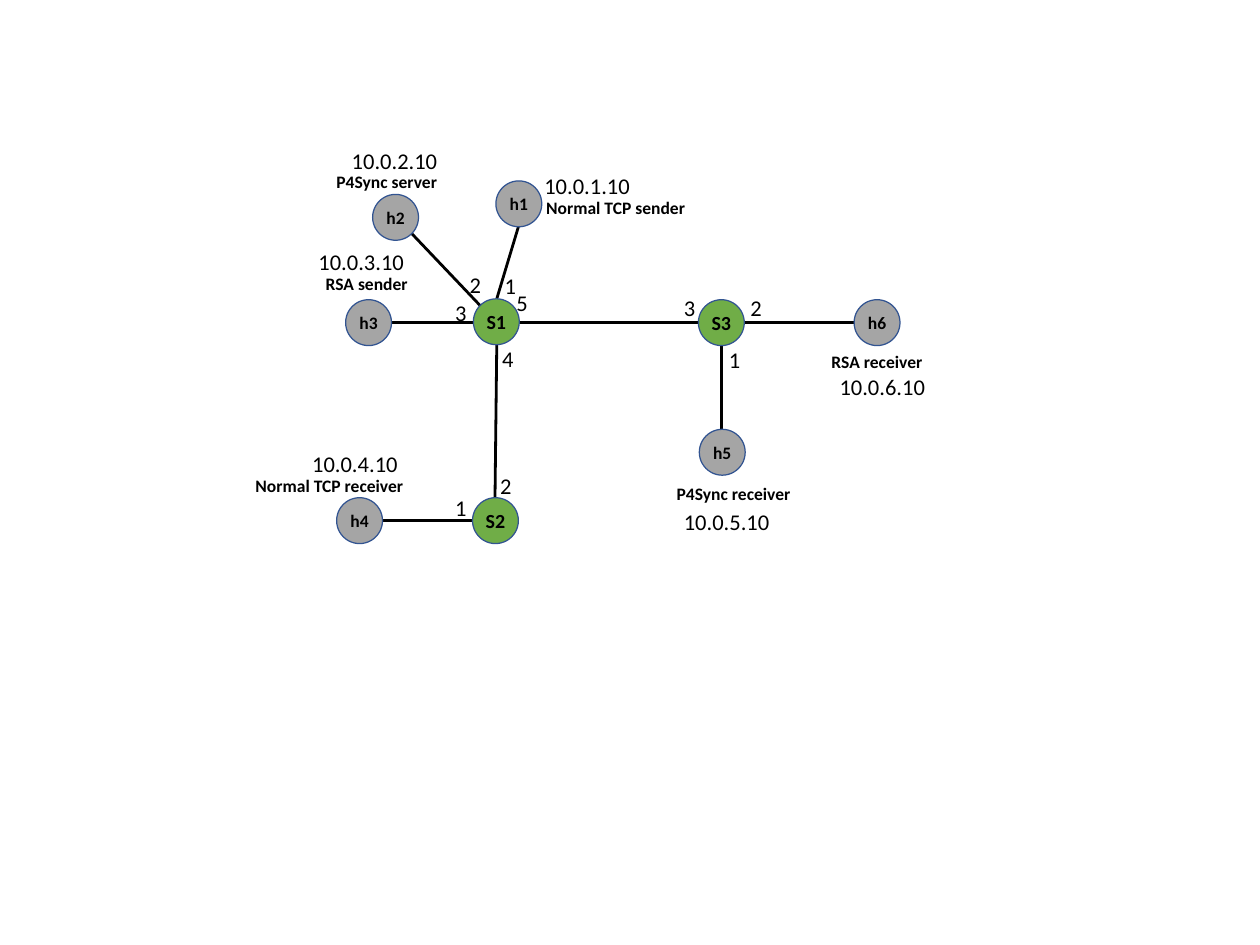
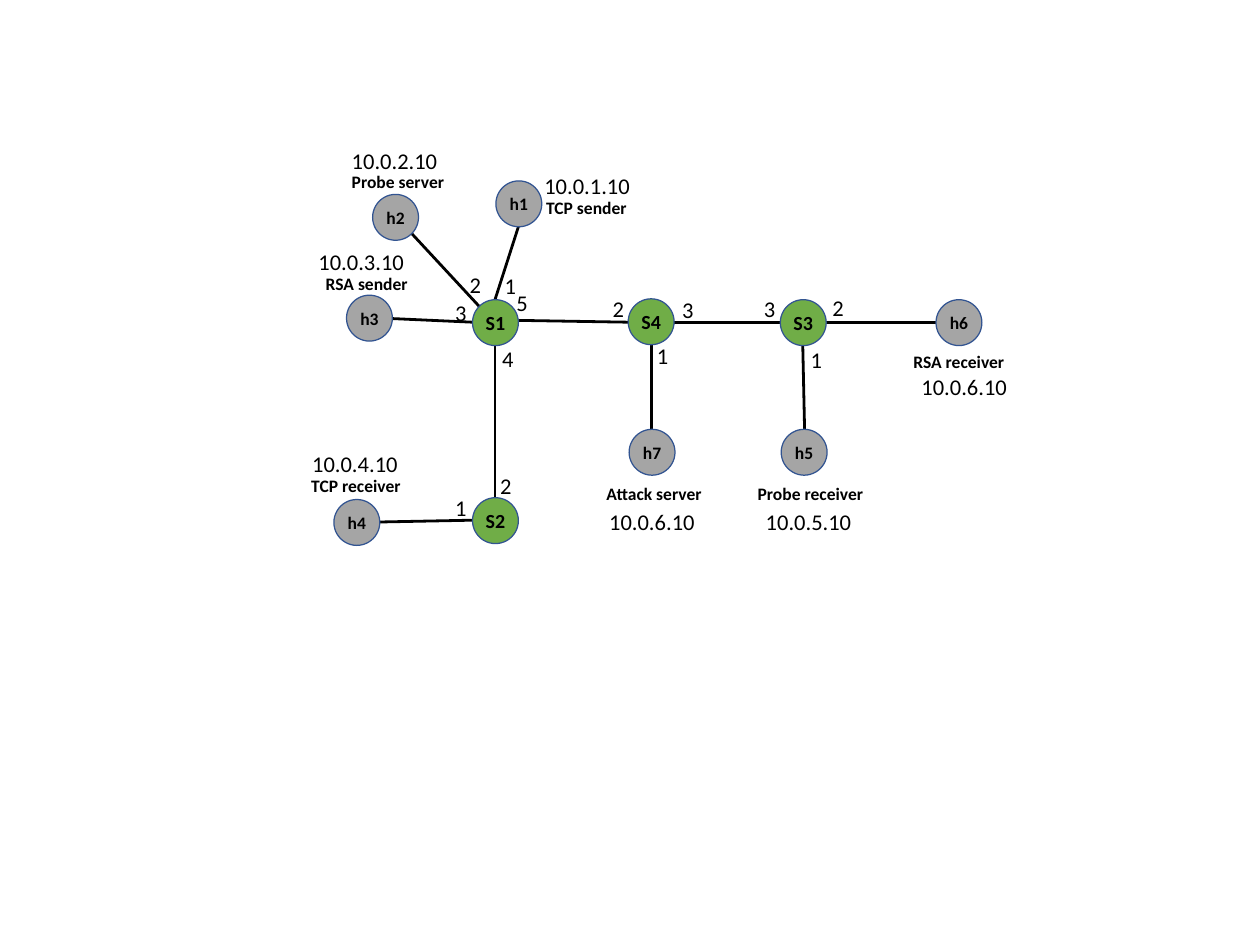
from dataclasses import dataclass, replace

from lxml.etree import SubElement
from pptx import Presentation
from pptx.dml.color import RGBColor
from pptx.enum.shapes import MSO_CONNECTOR, MSO_SHAPE
from pptx.enum.text import MSO_ANCHOR, MSO_AUTO_SIZE, PP_ALIGN
from pptx.oxml.ns import qn
from pptx.slide import Slide
from pptx.text.text import _Paragraph as Paragraph
from pptx.util import Emu, Pt

PX = 9144  # 100 px to the inch
NODE_SIZE = 51
FONT = "Calibri"
COLORS = {
    "switch": "70AD47",
    "host": "A5A5A5",
    "outline": "325491",
    "ink": "000000",
}
# Where links meet a node, from its centre in units of its radius
SIDES = {
    "top": (0, -1), "bottom": (0, 1), "left": (-1, 0), "right": (1, 0),
    "top left": (-0.7, -0.7), "bottom right": (0.7, 0.7),
}


@dataclass(frozen=True)
class TextStyle:
    size: int
    bold: bool
    height: int


STYLES = {
    "role": TextStyle(14, True, 34),
    "address": TextStyle(18, False, 40),
    "port": TextStyle(18, False, 40),
}


@dataclass(frozen=True)
class Node:
    name: str
    left: int
    top: int

    @property
    def kind(self) -> str:
        return "switch" if self.name.startswith("S") else "host"

    def edge(self, side: str) -> tuple[int, int]:
        across, down = SIDES[side]
        radius = NODE_SIZE / 2
        return (round(self.left + radius * (1 + across)),
                round(self.top + radius * (1 + down)))


@dataclass(frozen=True)
class Link:
    start: str
    start_side: str
    end: str
    end_side: str
    start_rise: int = 0


@dataclass(frozen=True)
class Label:
    style: str
    text: str
    left: int
    top: int
    width: int


@dataclass(frozen=True)
class Topology:
    nodes: list[Node]
    links: list[Link]
    labels: list[Label]


def role(text: str, left: int, top: int, width: int = 148) -> Label:
    return Label("role", text, left, top, width)


def address(subnet: int, left: int, top: int, width: int = 175) -> Label:
    return Label("address", f"10.0.{subnet}.10", left, top, width)


def port(number: int, left: int, top: int) -> Label:
    return Label("port", str(number), left, top, 26)


# Parts that stay in place on both slides
SENDER_NODES = [Node("S2", 525, 553), Node("h1", 551, 201), Node("h2", 414, 216)]
SENDER_LABELS = [
    address(2, 381, 158, 119), address(1, 595, 186),
    address(3, 344, 271), address(4, 337, 495),
    role("RSA sender", 352, 298, 128),
    port(1, 551, 297), port(2, 512, 296), port(3, 496, 327),
    port(4, 548, 378), port(5, 564, 316),
    port(1, 496, 544), port(2, 546, 519),
]
COMMON_LINKS = [
    Link("S1", "bottom", "S2", "top"),
    Link("h1", "bottom", "S1", "top"),
    Link("h2", "bottom right", "S1", "top left"),
    Link("h3", "right", "S1", "left"),
    Link("h4", "right", "S2", "left"),
    Link("S3", "bottom", "h5", "top"),
    Link("S3", "right", "h6", "left"),
]

# The receiver side around S3, moved right when S4 stands between
RECEIVER_NODES = [Node("S3", 776, 333), Node("h5", 777, 477), Node("h6", 949, 333)]
RECEIVER_LABELS = [
    role("RSA receiver", 914, 385), address(6, 923, 409),
    address(5, 750, 559), port(1, 800, 379), port(2, 824, 322),
]
RECEIVER_SHIFT = 91


def moved(items: list, shift: int) -> list:
    return [replace(item, left=item.left + shift) for item in items]


THREE_SWITCHES = Topology(
    nodes=[*SENDER_NODES, *RECEIVER_NODES,
           Node("S1", 526, 332), Node("h3", 384, 333), Node("h4", 374, 553)],
    links=[*COMMON_LINKS, Link("S3", "left", "S1", "right")],
    labels=[
        *SENDER_LABELS, *RECEIVER_LABELS,
        role("Normal TCP sender", 597, 214, 180),
        role("P4Sync server", 364, 185, 146),
        role("Normal TCP receiver", 274, 523, 190),
        role("P4Sync receiver", 742, 532),
        port(3, 750, 322),
    ],
)

FOUR_SWITCHES = Topology(
    nodes=[*SENDER_NODES, *moved(RECEIVER_NODES, RECEIVER_SHIFT),
           Node("S1", 525, 333), Node("h3", 385, 328), Node("h4", 371, 555),
           Node("S4", 698, 332), Node("h7", 699, 477)],
    links=[*COMMON_LINKS,
           Link("S1", "right", "S4", "left", start_rise=2),
           Link("S4", "right", "S3", "left"),
           Link("S4", "bottom", "h7", "top")],
    labels=[
        *SENDER_LABELS, *moved(RECEIVER_LABELS, RECEIVER_SHIFT),
        role("TCP sender", 597, 214, 116),
        role("Probe server", 381, 185, 128),
        role("TCP receiver", 336, 523, 128),
        role("Probe receiver", 832, 532),
        role("Attack server", 664, 532), address(6, 667, 559),
        port(3, 839, 323), port(2, 671, 323), port(3, 748, 324), port(1, 720, 375),
    ],
)


def px(value: int) -> Emu:
    return Emu(value * PX)


def color(name: str) -> RGBColor:
    return RGBColor.from_string(COLORS[name])


def write(para: Paragraph, text: str, size: int, bold: bool) -> None:
    para.text = text
    para.font.name = FONT
    para.font.size = Pt(size)
    para.font.bold = bold
    para.font.color.rgb = color("ink")


def draw_node(page: Slide, node: Node) -> None:
    circle = page.shapes.add_shape(
        MSO_SHAPE.OVAL, px(node.left), px(node.top), px(NODE_SIZE), px(NODE_SIZE))
    circle.shadow.inherit = False
    circle.fill.solid()
    circle.fill.fore_color.rgb = color(node.kind)
    circle.line.color.rgb = color("outline")
    circle.line.width = Pt(1)
    frame = circle.text_frame
    frame.margin_left = frame.margin_right = px(6)
    frame.margin_top = frame.margin_bottom = px(3)
    frame.vertical_anchor = MSO_ANCHOR.MIDDLE
    para = frame.paragraphs[0]
    para.alignment = PP_ALIGN.CENTER
    write(para, node.name, 16 if node.kind == "switch" else 14, True)


def draw_link(page: Slide, link: Link, nodes: dict[str, Node]) -> None:
    start_x, start_y = nodes[link.start].edge(link.start_side)
    end_x, end_y = nodes[link.end].edge(link.end_side)
    line = page.shapes.add_connector(
        MSO_CONNECTOR.STRAIGHT,
        px(start_x), px(start_y - link.start_rise), px(end_x), px(end_y))
    line.line.color.rgb = color("ink")
    line.line.width = Pt(2.25)
    SubElement(line._element.spPr, qn("a:effectLst"))


def draw_label(page: Slide, label: Label) -> None:
    style = STYLES[label.style]
    box = page.shapes.add_textbox(
        px(label.left), px(label.top), px(label.width), px(style.height))
    box.text_frame.word_wrap = True
    box.text_frame.auto_size = MSO_AUTO_SIZE.SHAPE_TO_FIT_TEXT
    write(box.text_frame.paragraphs[0], label.text, style.size, style.bold)


def draw_topology(page: Slide, topology: Topology) -> None:
    nodes = {node.name: node for node in topology.nodes}
    for link in topology.links:
        draw_link(page, link, nodes)
    for node in topology.nodes:
        draw_node(page, node)
    for label in topology.labels:
        draw_label(page, label)


def main() -> None:
    deck = Presentation()
    deck.slide_width, deck.slide_height = px(1400), px(1050)
    for topology in (THREE_SWITCHES, FOUR_SWITCHES):
        draw_topology(deck.slides.add_slide(deck.slide_layouts[6]), topology)
    deck.save("out.pptx")


if __name__ == "__main__":
    main()
